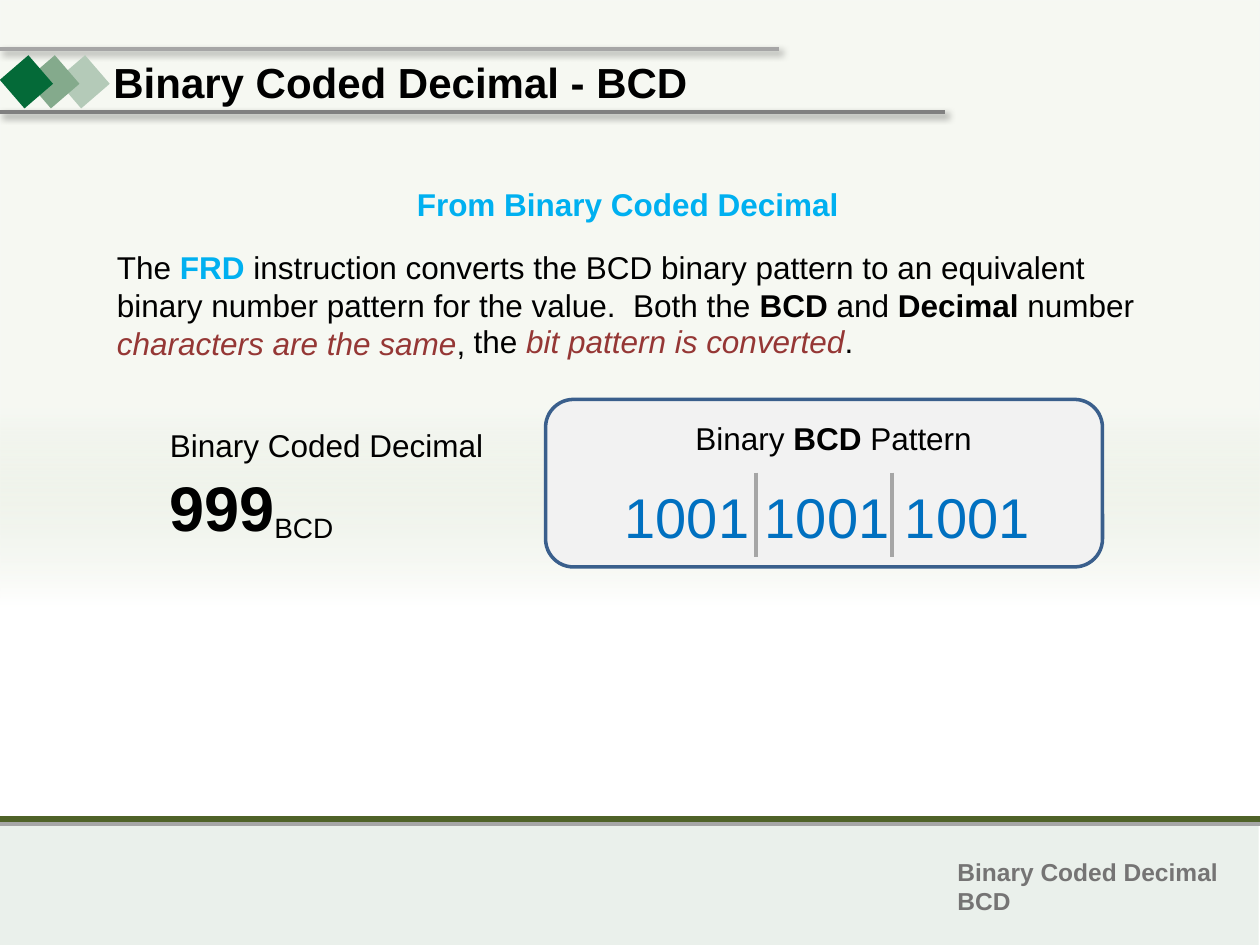
from lxml import etree
from pptx import Presentation
from pptx.dml.color import RGBColor
from pptx.enum.shapes import MSO_CONNECTOR, MSO_SHAPE
from pptx.enum.text import MSO_ANCHOR, MSO_AUTO_SIZE, PP_ALIGN
from pptx.oxml import parse_xml
from pptx.oxml.ns import nsdecls, qn
from pptx.util import Inches, Pt

FONT = "Arial"
HEX = {
    "black": "000000", "white": "FFFFFF", "sky": "00B0F0", "blue": "0070C0",
    "red": "953735", "gray": "A6A6A6", "dark": "808080", "label": "757474",
    "olive": "4F6228", "band": "EAF0EB", "wash": "D1DCC3", "panel": "F2F2F2",
    "edge": "3A5F8C", "green": "046A38", "sage": "84AA8C", "mist": "B4CAB8",
}


def color(name):
    return RGBColor.from_string(HEX[name])


def add_box(slide, kind, x, y, w, h, fill, edge=None):
    shape = slide.shapes.add_shape(kind, Inches(x), Inches(y), Inches(w), Inches(h))
    shape.shadow.inherit = False
    shape.fill.solid()
    shape.fill.fore_color.rgb = color(fill)
    if edge:
        shape.line.color.rgb = color(edge)
        shape.line.width = Pt(2)
    else:
        shape.line.fill.background()
    return shape


def add_line(slide, x1, y1, x2, y2, name, width=2.25, shadow=False):
    line = slide.shapes.add_connector(
        MSO_CONNECTOR.STRAIGHT, Inches(x1), Inches(y1), Inches(x2), Inches(y2))
    line.line.color.rgb = color(name)
    line.line.width = Pt(width)
    effects = etree.SubElement(line._element.spPr, qn("a:effectLst"))
    if shadow:
        effects.append(parse_xml(
            f'<a:outerShdw {nsdecls("a")} blurRad="{Pt(4)}" dist="{Pt(3)}" '
            f'dir="2700000" algn="tl" rotWithShape="0"><a:srgbClr val="{HEX["black"]}">'
            '<a:alpha val="40000"/></a:srgbClr></a:outerShdw>'))


def write(para, parts, size):
    """Fill a paragraph from (text, colour, style) parts; style holds b or i."""
    for text, name, style in parts:
        run = para.add_run()
        run.text = text
        font = run.font
        font.name, font.size = FONT, Pt(size)
        font.bold, font.italic = "b" in style, "i" in style
        font.color.rgb = color(name)


def add_text(slide, x, y, w, h, lines, size=18, wrap=False):
    box = slide.shapes.add_textbox(Inches(x), Inches(y), Inches(w), Inches(h))
    frame = box.text_frame
    frame.word_wrap = wrap
    for i, parts in enumerate(lines):
        para = frame.add_paragraph() if i else frame.paragraphs[0]
        write(para, parts, size)


def add_wash(slide, x, y, w, h):
    """Place the pale gradient that fades to white below the middle."""
    shape = add_box(slide, MSO_SHAPE.RECTANGLE, x, y, w, h, "white")
    stops = "".join(
        f'<a:gs pos="{pos}000"><a:srgbClr val="{HEX[name]}">'
        f'<a:alpha val="{alpha}000"/></a:srgbClr></a:gs>'
        for pos, name, alpha in [(50, "wash", 20), (74, "white", 100), (100, "white", 100)])
    grad = parse_xml(
        f'<a:gradFill {nsdecls("a")} rotWithShape="1"><a:gsLst>{stops}</a:gsLst>'
        '<a:lin ang="5400000" scaled="0"/></a:gradFill>')
    props = shape._element.spPr
    props.replace(props.find(qn("a:solidFill")), grad)


def add_footer(slide, x, y, w, h):
    add_line(slide, x, y + 0.04, x + w, y + 0.04, "gray")
    add_line(slide, x, y, x + w, y, "olive", 3)
    add_text(slide, x + 7.5, y + 0.25, 2.28, 0.57,
             [[("Binary Coded Decimal", "label", "b")], [("BCD", "label", "b")]], 14)


def add_header(slide, x, y):
    add_line(slide, x, y + 0.5, x + 7.51, y + 0.5, "dark", shadow=True)
    add_line(slide, x, y, x + 6.19, y, "gray", shadow=True)
    for step, name in [(0.52, "mist"), (0.28, "sage"), (0.07, "green")]:
        mark = add_box(slide, MSO_SHAPE.RECTANGLE, x + step, y + 0.11, 0.3, 0.3, name)
        mark.rotation = 49.2
    title = slide.shapes.title
    title.left, title.top = Inches(x + 0.81), Inches(y + 0.01)
    title.width, title.height = Inches(4.83), Inches(0.5)
    frame = title.text_frame
    frame.auto_size = MSO_AUTO_SIZE.NONE
    frame.vertical_anchor = MSO_ANCHOR.TOP
    frame.paragraphs[0].alignment = PP_ALIGN.LEFT
    write(frame.paragraphs[0], [("Binary Coded Decimal - BCD", "black", "b")], 24)
    slide.shapes._spTree.append(title._element)


def add_intro(slide, x, y):
    add_text(slide, x + 2.38, y, 3.58, 0.4, [[("From Binary Coded Decimal", "sky", "b")]])
    add_text(slide, x, y + 0.5, 8.33, 1.01, [[
        ("The ", "black", ""), ("FRD", "sky", "b"),
        (" instruction converts the BCD binary pattern to an equivalent binary "
         "number pattern for the value.  Both the ", "black", ""),
        ("BCD", "black", "b"), (" and ", "black", ""), ("Decimal", "black", "b"),
        (" number ", "black", ""), ("characters are the same", "red", "i"),
        (",", "black", "")]], wrap=True)
    add_text(slide, x + 2.83, y + 1.09, 3.25, 0.4, [[
        ("the ", "black", ""), ("bit pattern is converted", "red", "i"),
        (".", "black", "")]])


def add_value(slide, x, y):
    add_text(slide, x, y, 2.71, 0.4, [[("Binary Coded Decimal", "black", "")]])
    add_text(slide, x, y + 0.34, 1.04, 0.71, [[("999", "black", "b")]], 36)
    add_text(slide, x + 0.83, y + 0.67, 0.67, 0.37, [[("BCD", "black", "")]], 16)


def add_pattern(slide, x, y, w, h):
    add_box(slide, MSO_SHAPE.ROUNDED_RECTANGLE, x, y, w, h, "panel", "edge")
    add_text(slide, x + 1.09, y + 0.11, 2.4, 0.4, [[
        ("Binary ", "black", ""), ("BCD", "black", "b"), (" Pattern", "black", "")]])
    add_text(slide, x + 0.53, y + 0.61, 3.44, 0.64,
             [[("1001 1001 1001", "blue", "")]], 32)
    for step in (1.67, 2.75):
        add_line(slide, x + step, y + 0.58, x + step, y + 1.25, "gray")


def main():
    deck = Presentation()
    deck.slide_width, deck.slide_height = Inches(10), Inches(7.5)
    slide = deck.slides.add_slide(deck.slide_layouts[5])
    add_box(slide, MSO_SHAPE.RECTANGLE, -0.01, 6.5, 10, 1, "band")
    add_wash(slide, 0, 0, 10, 6.5)
    add_footer(slide, 0, 6.5, 10, 1)
    add_header(slide, -0.01, 0.39)
    add_intro(slide, 0.83, 1.42)
    add_value(slide, 1.25, 3.33)
    add_pattern(slide, 4.33, 3.17, 4.42, 1.33)
    deck.save("out.pptx")


if __name__ == "__main__":
    main()
